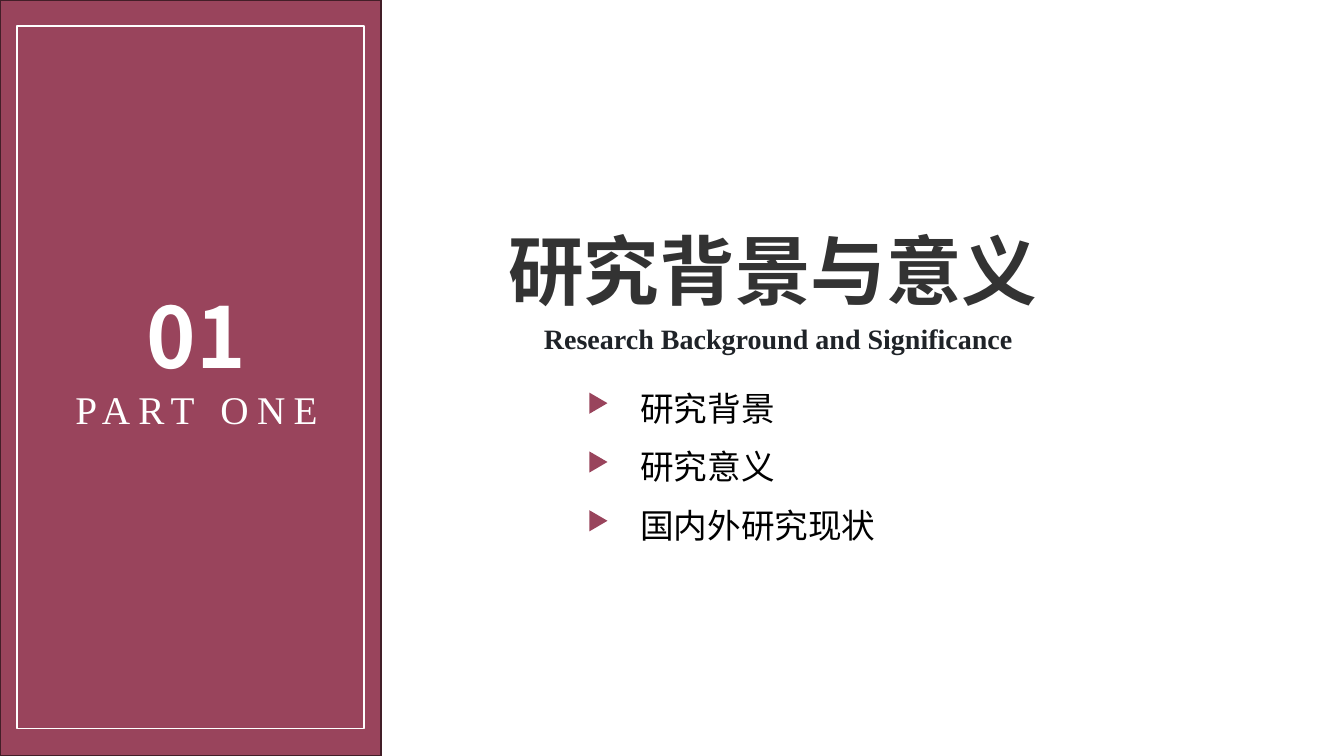
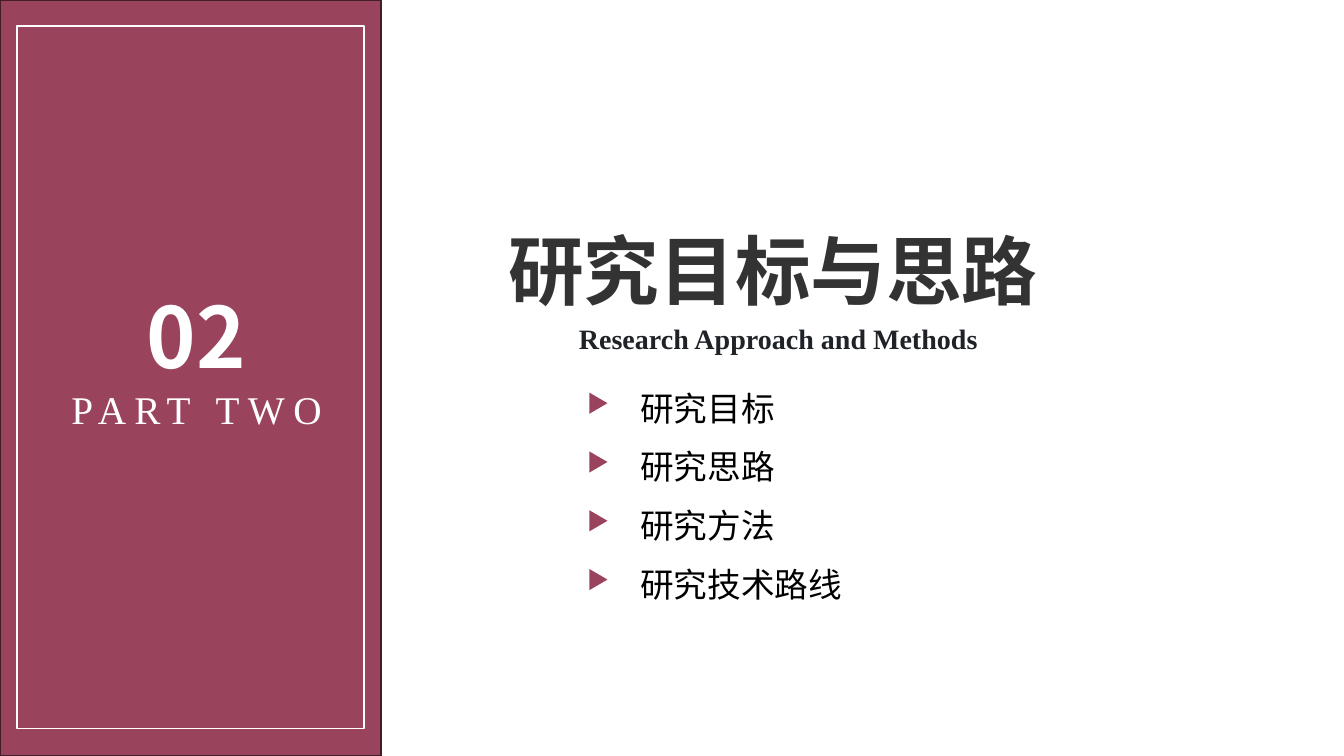
"""Builds two section divider slides with a shared side panel."""
from lxml import etree
from pptx import Presentation
from pptx.dml.color import RGBColor
from pptx.enum.shapes import MSO_SHAPE
from pptx.enum.text import MSO_ANCHOR, MSO_AUTO_SIZE, PP_ALIGN
from pptx.oxml.ns import qn
from pptx.util import Inches, Pt

RECT = MSO_SHAPE.RECTANGLE
TRIANGLE = MSO_SHAPE.ISOSCELES_TRIANGLE
LEFT, CENTER = PP_ALIGN.LEFT, PP_ALIGN.CENTER
TOP, MIDDLE = MSO_ANCHOR.TOP, MSO_ANCHOR.MIDDLE
FIXED = MSO_AUTO_SIZE.NONE

COLORS = {
    "wine": "99445C",
    "edge": "431E28",
    "white": "FFFFFF",
    "title": "333333",
    "subtitle": "1F2328",
    "text": "000000",
}
CJK = "Noto Sans CJK SC"
LATIN = "Times New Roman"
ROW_PITCH = Pt(42)

SECTIONS = [
    ("01", "PART ONE", "研究背景与意义", "Research Background and Significance",
     ["研究背景", "研究意义", "国内外研究现状"]),
    ("02", "PART TWO", "研究目标与思路", "Research Approach and Methods",
     ["研究目标", "研究思路", "研究方法", "研究技术路线"]),
]


def rgb(name):
    """Return the named palette colour."""
    return RGBColor.from_string(COLORS[name])


def format_paragraph(p, size, font, color, bold=False, align=LEFT, spacing=0):
    """Apply alignment and character formatting to a paragraph."""
    p.alignment = align
    for r in p.runs:
        r.font.size = Pt(size)
        r.font.bold = bold
        r.font.color.rgb = rgb(color)
        r.font.name = font
        rPr = r.font._element if hasattr(r.font, "_element") else r._r.get_or_add_rPr()
        etree.SubElement(rPr, qn("a:ea"), typeface=font)
        if spacing:
            rPr.set("spc", str(spacing * 100))


def add_shape(slide, kind, box, fill=None, line=None):
    """Add a flat preset shape with an optional fill and outline."""
    sp = slide.shapes.add_shape(kind, *box)
    sp.shadow.inherit = False
    if fill:
        sp.fill.solid()
        sp.fill.fore_color.rgb = rgb(fill)
    else:
        sp.fill.background()
    if line:
        sp.line.color.rgb = rgb(line)
        sp.line.width = Pt(1)
    else:
        sp.line.fill.background()
    return sp


def add_text(slide, box, text):
    """Add a wrapping text box and return its paragraphs."""
    tf = slide.shapes.add_textbox(*map(Inches, box)).text_frame
    tf.word_wrap = True
    tf.text = text
    return tf.paragraphs


def place_placeholder(sp, box, anchor):
    """Set the position and text anchor of a layout placeholder."""
    sp.left, sp.top, sp.width, sp.height = map(Inches, box)
    tf = sp.text_frame
    tf.vertical_anchor = anchor
    tf.auto_size = FIXED


def add_panel(layout, slide):
    """Build the framed side panel and move it to the layout."""
    panel = add_shape(slide, RECT, map(Inches, (0, 0, 3.78, 7.5)), "wine", "edge")
    frame = add_shape(slide, RECT, map(Inches, (0.17, 0.26, 3.44, 6.97)), line="white")
    for i, sp in enumerate((panel, frame)):
        sp.element.nvSpPr.cNvPr.set("id", str(100 + i))
        layout.shapes.element.insert(2 + i, sp.element)


def add_number(slide, number, part):
    """Add the section number and part label on the panel."""
    top, label = add_text(slide, (0.45, 3.08, 3, 1.27), f"{number}\n{part}")
    top.line_spacing = Pt(50)
    format_paragraph(top, 60, CJK, "white", True, CENTER)
    format_paragraph(label, 28, LATIN, "white", align=CENTER, spacing=6)


def fill_heading(slide, title, subtitle):
    """Write the section title and its English subtitle."""
    tf = slide.shapes.title.text_frame
    tf.text = title
    format_paragraph(tf.paragraphs[0], 54, CJK, "title", True)
    p, = add_text(slide, (5.22, 3.14, 5, 0.44), subtitle)
    format_paragraph(p, 20, LATIN, "subtitle", True, CENTER)


def fill_topics(slide, topics):
    """Write the topic list with a triangle marker beside each row."""
    tf = slide.placeholders[1].text_frame
    tf.text = "\n".join(topics)
    for i, p in enumerate(tf.paragraphs):
        format_paragraph(p, 24, CJK, "text")
        p.line_spacing = ROW_PITCH
        p.space_before = p.space_after = Pt(0)
        pPr = p._p.get_or_add_pPr()
        pPr.set("marL", "0")
        pPr.set("indent", "0")
        etree.SubElement(pPr, qn("a:buNone"))
        box = (Inches(5.83), Inches(3.91) + i * ROW_PITCH, Inches(0.21), Inches(0.18))
        add_shape(slide, TRIANGLE, box, "wine").rotation = 90


def main():
    """Build and save the presentation."""
    prs = Presentation()
    prs.slide_width, prs.slide_height = Inches(13.33), Inches(7.5)
    layout = prs.slide_layouts[1]
    title, body = layout.placeholders[0], layout.placeholders[1]
    place_placeholder(title, (4.94, 2.07, 6.67, 1.2), MIDDLE)
    place_placeholder(body, (6.25, 3.61, 3, 2.5), TOP)
    slides = [prs.slides.add_slide(layout) for _ in SECTIONS]
    add_panel(layout, slides[0])
    for s, (number, part, heading, subtitle, topics) in zip(slides, SECTIONS):
        add_number(s, number, part)
        fill_heading(s, heading, subtitle)
        fill_topics(s, topics)
    prs.save("out.pptx")


if __name__ == "__main__":
    main()
